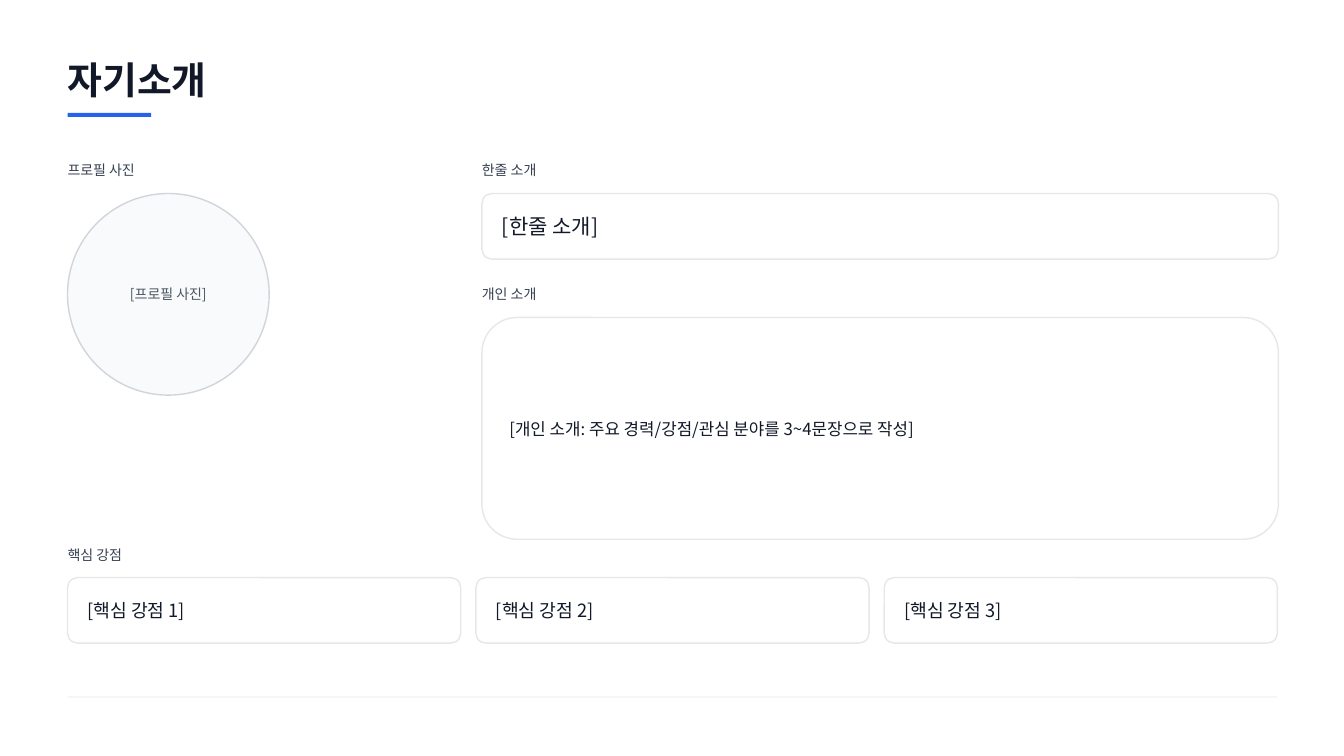
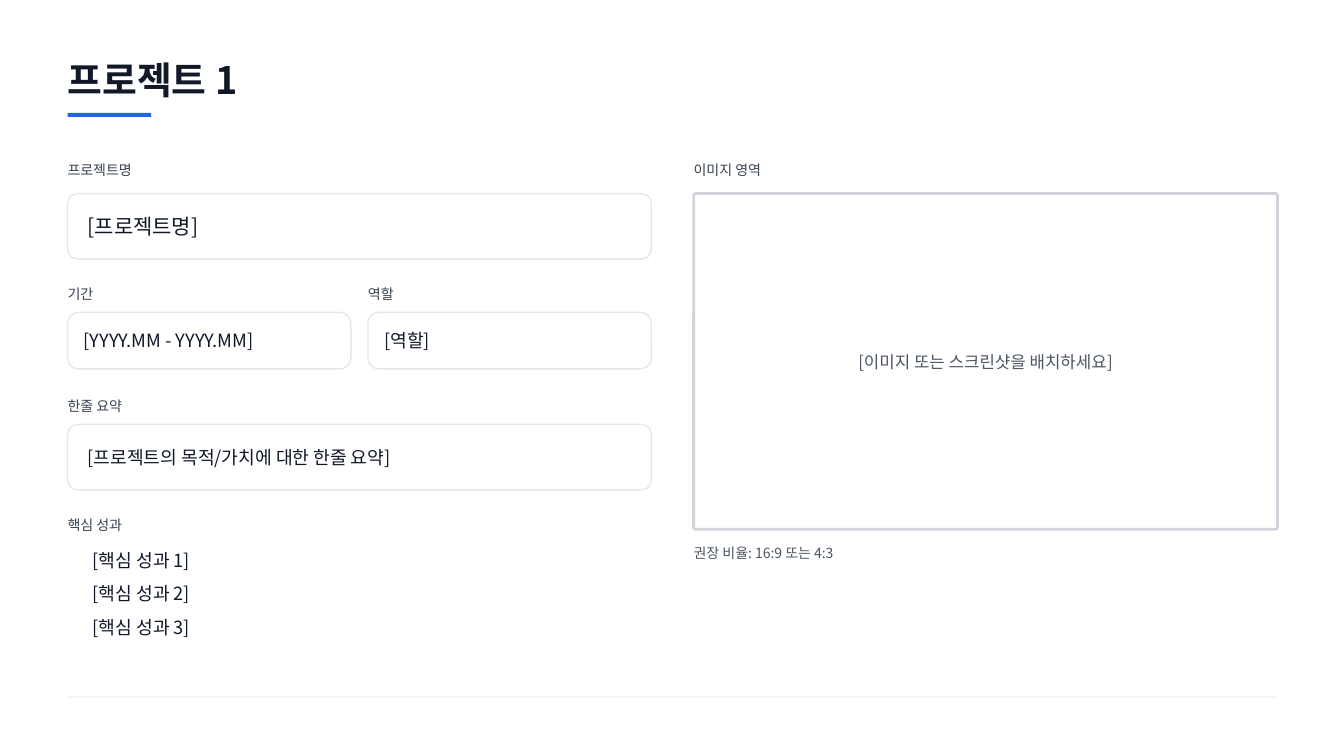
"""Build two portfolio template slides: an introduction and a project."""
from dataclasses import dataclass

import pptx
import pptx.dml.color
import pptx.enum.shapes
import pptx.enum.text
import pptx.oxml.ns
import pptx.util
from lxml import etree

Inches = pptx.util.Inches
Pt = pptx.util.Pt
Align = pptx.enum.text.PP_ALIGN
Anchor = pptx.enum.text.MSO_ANCHOR
Kind = pptx.enum.shapes.MSO_SHAPE

FONT = "Noto Sans CJK KR"
INK, SLATE, GRAY = "111827", "374151", "4B5563"
BLUE, RULE, EDGE, PALE = "2563EB", "E5E7EB", "D1D5DB", "F9FAFB"
LEFT, SPAN = 0.67, 12
TOP, HEAD = 1.92, 1.58
TALL = 0.65
SIDE = 4.78
HALF, RIGHT = 5.79, 6.88


@dataclass(frozen=True)
class Label:
    """A small line of text above or below a field."""

    text: str
    left: float
    top: float
    color: str = SLATE


@dataclass(frozen=True)
class Field:
    """A rounded box with its prompt inside."""

    text: str
    left: float
    top: float
    width: float
    height: float = TALL
    size: float = 13
    radius: float = 0.1
    pad: float = 0.17
    color: str = INK
    edge: str = RULE
    line: float = 1
    fill: str = ""
    align: Align = Align.LEFT


def rgb(code: str) -> pptx.dml.color.RGBColor:
    """Turn a hex string into a colour."""
    return pptx.dml.color.RGBColor.from_string(code)


def write(frame, lines: list[str], size: float, color: str, bold: bool = False,
          align: Align = Align.LEFT, anchor: Anchor = Anchor.MIDDLE,
          pad: float = 0, after: float = 0) -> None:
    """Fill a text frame with evenly styled paragraphs."""
    frame.auto_size = pptx.enum.text.MSO_AUTO_SIZE.NONE
    frame.word_wrap = True
    frame.vertical_anchor = anchor
    frame.margin_left = frame.margin_right = Inches(pad)
    frame.margin_top = frame.margin_bottom = 0
    frame.text = "\n".join(lines)
    for para in frame.paragraphs:
        para.alignment = align
        para.space_before, para.space_after = Pt(0), Pt(after)
        font = para.font
        font.size, font.bold, font.name = Pt(size), bold, FONT
        font.color.rgb = rgb(color)
        props = para._p.pPr.find(pptx.oxml.ns.qn("a:defRPr"))
        etree.SubElement(props, pptx.oxml.ns.qn("a:ea"), typeface=FONT)


def draw_bar(slide, top: float, width: float, height: float, color: str) -> None:
    """Draw a plain bar from the left margin."""
    bar = slide.shapes.add_shape(Kind.RECTANGLE, Inches(LEFT), Inches(top),
                                 Inches(width), Inches(height))
    bar.shadow.inherit = False
    bar.fill.solid()
    bar.fill.fore_color.rgb = rgb(color)
    bar.line.fill.background()


def draw_label(slide, label: Label) -> None:
    """Draw one label."""
    box = slide.shapes.add_textbox(Inches(label.left), Inches(label.top),
                                   Inches(2), Inches(0.21))
    write(box.text_frame, [label.text], 10, label.color)


def draw_field(slide, field: Field) -> None:
    """Draw one field box with its prompt."""
    box = slide.shapes.add_shape(
        Kind.ROUNDED_RECTANGLE, Inches(field.left), Inches(field.top),
        Inches(field.width), Inches(field.height))
    box.adjustments[0] = field.radius / min(field.width, field.height)
    box.shadow.inherit = False
    if field.fill:
        box.fill.solid()
        box.fill.fore_color.rgb = rgb(field.fill)
    else:
        box.fill.background()
    box.line.color.rgb = rgb(field.edge)
    box.line.width = Pt(field.line)
    write(box.text_frame, [field.text], field.size, field.color,
          align=field.align, pad=field.pad)


def add_page(deck, title: str, labels: list[Label], fields: list[Field]):
    """Add a slide with its title, rules, labels and fields."""
    slide = deck.slides.add_slide(deck.slide_layouts[5])
    head = slide.shapes.title
    head.left, head.top = Inches(LEFT), Inches(0.52)
    head.width, head.height = Inches(SPAN), Inches(0.54)
    write(head.text_frame, [title], 27, INK, bold=True)
    draw_bar(slide, 1.12, 0.83, 0.04, BLUE)
    for label in labels:
        draw_label(slide, label)
    for field in fields:
        draw_field(slide, field)
    draw_bar(slide, 6.91, SPAN, 0.01, RULE)
    return slide


def add_intro(deck) -> None:
    """Add the introduction slide."""
    wide = 3.9
    step = (SPAN - wide) / 2
    labels = [
        Label("프로필 사진", LEFT, HEAD),
        Label("한줄 소개", SIDE, HEAD),
        Label("개인 소개", SIDE, 2.81),
        Label("핵심 강점", LEFT, 5.4),
    ]
    fields = [
        Field("[프로필 사진]", LEFT, TOP, 2, 2, size=10, radius=1, color=GRAY,
              edge=EDGE, fill=PALE, align=Align.CENTER),
        Field("[한줄 소개]", SIDE, TOP, 7.9, size=15),
        Field("[개인 소개: 주요 경력/강점/관심 분야를 3~4문장으로 작성]",
              SIDE, 3.15, 7.9, 2.2, size=12, radius=0.35),
    ]
    fields += [Field(f"[핵심 강점 {i + 1}]", LEFT + i * step, 5.73, wide)
               for i in range(3)]
    add_page(deck, "자기소개", labels, fields)


def add_project(deck) -> None:
    """Add the project slide."""
    wide = 2.81
    mid = LEFT + HALF - wide
    labels = [
        Label("프로젝트명", LEFT, HEAD),
        Label("기간", LEFT, 2.81),
        Label("역할", mid, 2.81),
        Label("한줄 요약", LEFT, 3.92),
        Label("핵심 성과", LEFT, 5.1),
        Label("이미지 영역", RIGHT, HEAD),
        Label("권장 비율: 16:9 또는 4:3", RIGHT, 5.38, GRAY),
    ]
    fields = [
        Field("[프로젝트명]", LEFT, TOP, HALF, size=15),
        Field("[프로젝트의 목적/가치에 대한 한줄 요약]", LEFT, 4.21, HALF),
        Field("[이미지 또는 스크린샷을 배치하세요]", RIGHT, TOP, HALF, 3.33, size=12,
              radius=0.02, color=GRAY, edge=EDGE, line=2, align=Align.CENTER),
    ]
    fields += [Field(text, left, 3.1, wide, 0.56, radius=0.11, pad=0.13)
               for text, left in (("[YYYY.MM - YYYY.MM]", LEFT), ("[역할]", mid))]
    slide = add_page(deck, "프로젝트 1", labels, fields)
    box = slide.shapes.add_textbox(Inches(0.92), Inches(5.45),
                                   Inches(5.54), Inches(1.02))
    write(box.text_frame, [f"[핵심 성과 {i}]" for i in range(1, 4)], 13, INK,
          anchor=Anchor.TOP, after=8.2)


def main() -> None:
    """Build and save the deck."""
    deck = pptx.Presentation()
    deck.slide_width, deck.slide_height = Inches(13.33), Inches(7.5)
    add_intro(deck)
    add_project(deck)
    deck.save("out.pptx")


if __name__ == "__main__":
    main()
